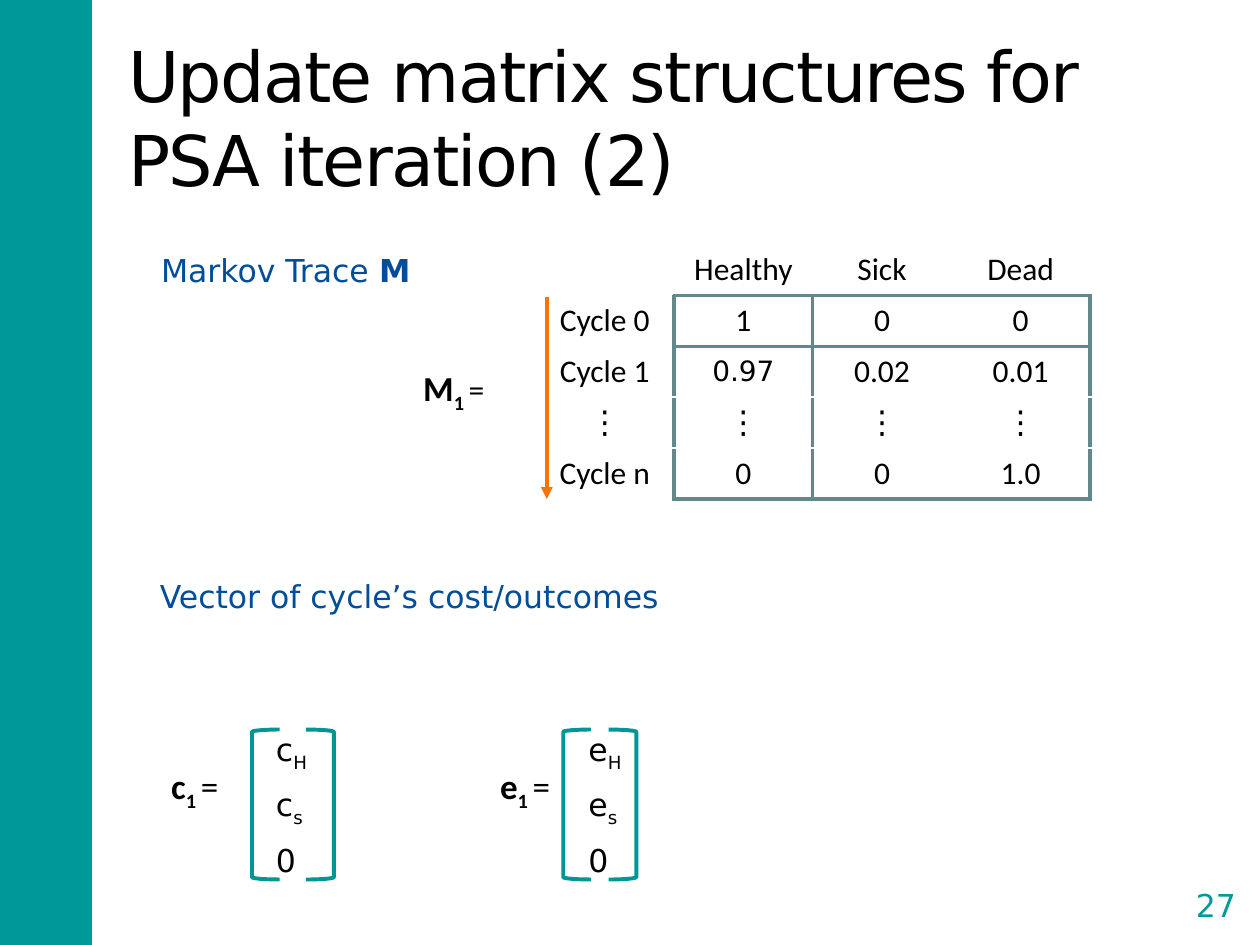
from lxml import etree
from pptx import Presentation
from pptx.dml.color import RGBColor
from pptx.enum.shapes import MSO_CONNECTOR, MSO_SHAPE
from pptx.enum.text import MSO_ANCHOR, MSO_AUTO_SIZE, PP_ALIGN
from pptx.oxml.ns import qn
from pptx.util import Inches, Pt

RECTANGLE = MSO_SHAPE.RECTANGLE
BRACKET = MSO_SHAPE.RIGHT_BRACKET
STRAIGHT = MSO_CONNECTOR.STRAIGHT
MIDDLE = MSO_ANCHOR.MIDDLE
CENTER, LEFT = PP_ALIGN.CENTER, PP_ALIGN.LEFT
FIT_SHAPE, NO_FIT = MSO_AUTO_SIZE.SHAPE_TO_FIT_TEXT, MSO_AUTO_SIZE.NONE

COLUMNS, ROWS = 100, 75
TEAL, BRACKET_TEAL, BLUE = "009999", "009696", "004D99"
GREY, ORANGE, BLACK, WHITE = "61888A", "F7730B", "000000", "FFFFFF"
LINE_WIDTH = Pt(2.25)

SANS = {"name": "DejaVu Sans", "size": Pt(18), "bold": False}
CELL = {"name": "Calibri", "size": Pt(18), "bold": False}
SYMBOL = {"name": "Calibri", "size": Pt(20), "bold": True}
SUBSCRIPT = {"baseline": "-25000"}


def color(hex_value):
    return RGBColor.from_string(hex_value)


class SlideBuilder:
    """Holds the slide and its grid of COLUMNS by ROWS."""

    def __init__(self, deck):
        self.slide = deck.slides.add_slide(deck.slide_layouts[5])
        self.shapes = self.slide.shapes
        self.column = deck.slide_width / COLUMNS
        self.row = deck.slide_height / ROWS

    def place(self, left, top, width, height):
        """Turn grid lengths into slide lengths."""
        return (round(left * self.column), round(top * self.row),
                round(width * self.column), round(height * self.row))

    def fill_text(self, frame, spans, style, hex_value=BLACK, align=LEFT):
        """Fill a frame with one paragraph of (text, overrides, run attributes) spans."""
        para = frame.paragraphs[0]
        para.alignment = align
        for text, overrides, attributes in spans:
            span = para.add_run()
            span.text = text
            for key, value in (style | overrides).items():
                setattr(span.font, key, value)
            span.font.color.rgb = color(hex_value)
            for key, value in attributes.items():
                span._r.get_or_add_rPr().set(key, value)

    def title(self, text, area):
        title = self.shapes.title
        title.left, title.top, title.width, title.height = self.place(*area)
        frame = title.text_frame
        frame.auto_size = NO_FIT
        frame.vertical_anchor = MIDDLE
        frame.margin_top = frame.margin_bottom = Inches(0.1)
        self.fill_text(frame, [(text, {"size": Pt(40)}, {"spc": "-100"})], SANS)

    def text(self, spans, area, style, hex_value=BLACK, align=LEFT, wrap=True):
        frame = self.shapes.add_textbox(*self.place(*area)).text_frame
        frame.word_wrap = wrap
        frame.auto_size = NO_FIT if wrap else FIT_SHAPE
        self.fill_text(frame, spans, style, hex_value, align)

    def heading(self, spans, area):
        self.text(spans, area, SANS, BLUE, wrap=False)

    def shape(self, kind, area, fill=None, line=None, rotation=0):
        shape = self.shapes.add_shape(kind, *self.place(*area))
        shape.shadow.inherit = False
        shape.rotation = rotation
        if fill:
            shape.fill.solid()
            shape.fill.fore_color.rgb = color(fill)
        else:
            shape.fill.background()
        if line:
            shape.line.color.rgb = color(line)
            shape.line.width = LINE_WIDTH
        else:
            shape.line.fill.background()

    def arrow(self, start, end, hex_value):
        left, top, right, bottom = self.place(*start, *end)
        arrow = self.shapes.add_connector(STRAIGHT, left, top, right, bottom)
        arrow.line.color.rgb = color(hex_value)
        arrow.line.width = LINE_WIDTH
        etree.SubElement(arrow.line._get_or_add_ln(), qn("a:tailEnd"), type="triangle")
        etree.SubElement(arrow._element.spPr, qn("a:effectLst"))

    def table(self, row_count, column_count, area):
        table = self.shapes.add_table(row_count, column_count, *self.place(*area)).table
        table.first_row = table.horz_banding = False
        return table

    def border(self, cell, sides):
        for side in sides:
            line = etree.SubElement(cell._tc.get_or_add_tcPr(), qn("a:ln" + side),
                                    w=str(LINE_WIDTH))
            fill = etree.SubElement(line, qn("a:solidFill"))
            etree.SubElement(fill, qn("a:srgbClr"), val=GREY)

    def matrix(self, values, area, special):
        """Draw a table framed around everything but its header row and label column."""
        last_row, last_column = len(values) - 1, len(values[0]) - 1
        table = self.table(len(values), len(values[0]), area)
        for i, row in enumerate(values):
            for j, value in enumerate(row):
                cell = table.cell(i, j)
                edges = {"L": i > 0 and j == 1, "R": i > 0 and j in (0, last_column),
                         "T": j > 0 and i == 1, "B": j > 0 and i in (0, last_row)}
                self.border(cell, [side for side, drawn in edges.items() if drawn])
                cell.fill.solid()
                cell.fill.fore_color.rgb = color(WHITE)
                cell.vertical_anchor = MIDDLE
                style = special.get((i, j), CELL)
                self.fill_text(cell.text_frame, [(value, {}, {})], style, align=CENTER)

    def symbol(self, letter, left, top, equals_size=Pt(20)):
        spans = [(letter, {}, {}), ("1 ", {}, SUBSCRIPT),
                 ("=", {"bold": False, "size": equals_size}, {})]
        self.text(spans, (left, top, 7.5, 4), SYMBOL)

    def vector(self, letter, label_left, left, width, brackets):
        """Draw a labelled column vector between two square brackets."""
        self.symbol(letter, label_left, 60.2)
        entries = [[(letter, {}, {}), ("H", {}, SUBSCRIPT)],
                   [(letter, {}, {}), ("s", {}, SUBSCRIPT)],
                   [("0", {}, {})]]
        table = self.table(len(entries), 1, (left, 57.6, width, 12.2))
        for i, spans in enumerate(entries):
            cell = table.cell(i, 0)
            cell.fill.background()
            self.fill_text(cell.text_frame, spans, SANS)
        for bracket_left, rotation in zip(brackets, (180, 0)):
            self.shape(BRACKET, (bracket_left, 57.9, 2.2, 11.9),
                       line=BRACKET_TEAL, rotation=rotation)


def main():
    deck = Presentation()
    deck.slide_width, deck.slide_height = Inches(10), Inches(7.5)
    page = SlideBuilder(deck)

    page.shape(RECTANGLE, (0, 0, 7.3, ROWS), fill=TEAL)
    page.title("Update matrix structures for PSA iteration (2)", (9.2, 3, 88.6, 12.5))

    page.heading([("Markov Trace ", {}, {}), ("M", {"bold": True}, {})],
                 (11.8, 19.4, 22, 4))
    trace = [["", "Healthy", "Sick", "Dead"],
             ["Cycle 0", "1", "0", "0"],
             ["Cycle 1", "0.97", "0.02", "0.01"],
             ["⋮"] * 4,
             ["Cycle n", "0", "0", "1.0"]]
    page.matrix(trace, (42.5, 19.4, 44, 20.2), {(2, 1): SANS | {"size": Pt(16)}})
    page.symbol("M", 32.6, 28.6, equals_size=Pt(18))
    page.arrow((43.4, 23.6), (43.4, 39.6), ORANGE)

    page.heading([("Vector of cycle’s cost/outcomes", {}, {})], (11.7, 45.3, 41.9, 4))
    page.vector("c", 12.6, 20.9, 5.4, (20, 24.3))
    page.vector("e", 38.7, 45.7, 7.8, (44.7, 48.3))

    page.text([("27", {}, {})], (93.5, 69.8, 6, 4.3), SANS, TEAL, CENTER)
    deck.save("out.pptx")


if __name__ == "__main__":
    main()
